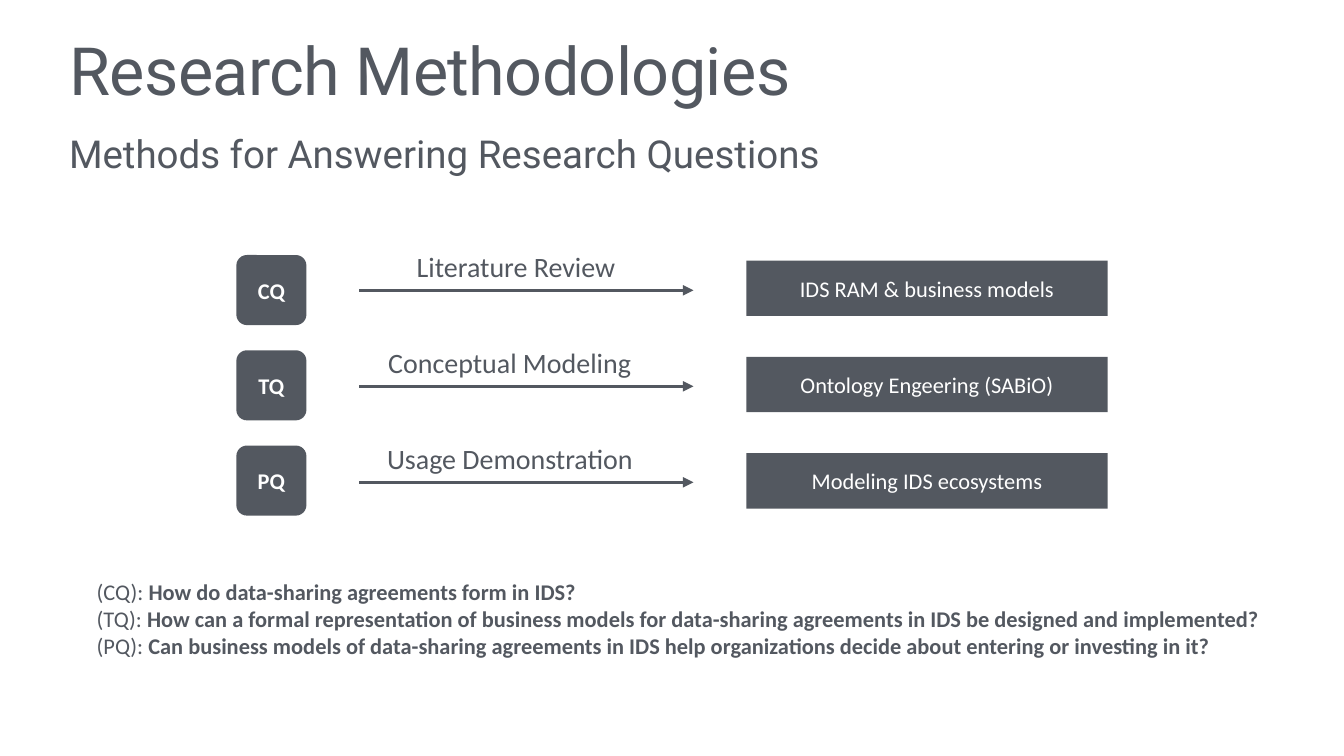
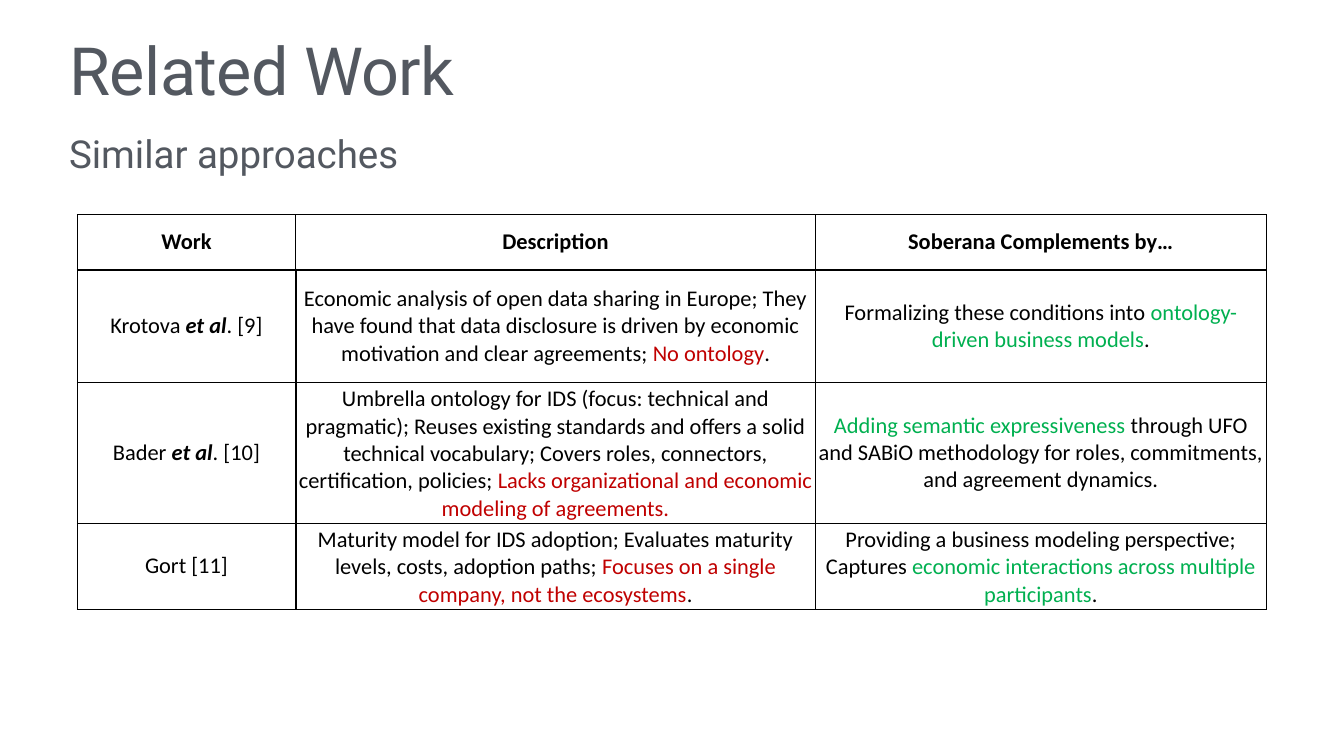
from dataclasses import dataclass

from lxml import etree
from pptx import Presentation
from pptx.dml.color import RGBColor
from pptx.enum.shapes import MSO_CONNECTOR, MSO_SHAPE
from pptx.enum.text import MSO_ANCHOR, MSO_AUTO_SIZE, PP_ALIGN
from pptx.oxml.ns import qn
from pptx.util import Inches, Pt

ROUNDED, RECT = MSO_SHAPE.ROUNDED_RECTANGLE, MSO_SHAPE.RECTANGLE
STRAIGHT = MSO_CONNECTOR.STRAIGHT
TOP, MIDDLE = MSO_ANCHOR.TOP, MSO_ANCHOR.MIDDLE
LEFT, CENTER = PP_ALIGN.LEFT, PP_ALIGN.CENTER
GROW = MSO_AUTO_SIZE.SHAPE_TO_FIT_TEXT


@dataclass(frozen=True)
class Theme:
    slate: str = "535860"
    white: str = "FFFFFF"
    black: str = "000000"
    gap: str = "C00000"
    gain: str = "00B050"
    heading_font: str = "Roboto"
    body_font: str = "Calibri"
    title_size: int = 95
    subtitle_size: int = 55
    label_size: int = 40
    body_size: int = 32
    inset: float = 0.06


T = Theme()

# Method rows: question code, method, method label width, outcome
METHODS = [
    ("CQ", "Literature Review", 4.47, "IDS RAM & business models"),
    ("TQ", "Conceptual Modeling", 5.6, "Ontology Engeering (SABiO)"),
    ("PQ", "Usage Demonstration", 5.65, "Modeling IDS ecosystems"),
]
QUESTIONS = [
    ("CQ", "How do data-sharing agreements form in IDS?"),
    ("TQ", "How can a formal representation of business models for data-sharing "
           "agreements in IDS be designed and implemented?"),
    ("PQ", "Can business models of data-sharing agreements in IDS help "
           "organizations decide about entering or investing in it?"),
]

# Table cells: lists of (text, style) runs
PLAIN, CITE, GAP, GAIN = "plain", "cite", "gap", "gain"
HEADERS = ["Work", "Description", "Soberana Complements by…"]
WORKS = [
    ([("Krotova ", PLAIN), ("et al", CITE), (". [9]", PLAIN)],
     [("Economic analysis of open data sharing in Europe; They have found that data "
       "disclosure is driven by economic motivation and clear agreements; ", PLAIN),
      ("No ontology", GAP), (".", PLAIN)],
     [("Formalizing these conditions into ", PLAIN),
      ("ontology-driven business models", GAIN), (".", PLAIN)]),
    ([("Bader ", PLAIN), ("et al", CITE), (". [10]", PLAIN)],
     [("Umbrella ontology for IDS (focus: technical and pragmatic); Reuses existing "
       "standards and offers a solid technical vocabulary; Covers roles, connectors, "
       "certification, policies; ", PLAIN),
      ("Lacks organizational and economic modeling of agreements.", GAP)],
     [("Adding semantic expressiveness", GAIN),
      (" through UFO and SABiO methodology for roles, commitments, and agreement "
       "dynamics.", PLAIN)]),
    ([("Gort [11]", PLAIN)],
     [("Maturity model for IDS adoption; Evaluates maturity levels, costs, adoption "
       "paths; ", PLAIN),
      ("Focuses on a single company, not the ecosystems", GAP), (".", PLAIN)],
     [("Providing a business modeling perspective; Captures ", PLAIN),
      ("economic interactions across multiple participants", GAIN), (".", PLAIN)]),
]


def rgb(color):
    return RGBColor.from_string(color)


def set_font(p, size, color, name=T.body_font, bold=False):
    p.font.name, p.font.size, p.font.bold = name, Pt(size), bold
    p.font.color.rgb = rgb(color)


def set_insets(target, inset=T.inset):
    target.margin_left = target.margin_right = Inches(inset)
    target.margin_top = target.margin_bottom = Inches(inset)


def add_text(slide, box, text, size, name=T.body_font, anchor=TOP, wrap=True,
             inset=T.inset):
    tf = slide.shapes.add_textbox(*map(Inches, box)).text_frame
    tf.word_wrap, tf.vertical_anchor = wrap, anchor
    set_insets(tf, inset)
    p = tf.paragraphs[0]
    p.text = text
    set_font(p, size, T.slate, name)
    return tf


def add_block(slide, kind, box, text, bold=False):
    sp = slide.shapes.add_shape(kind, *map(Inches, box))
    sp.shadow.inherit = False
    sp.fill.solid()
    sp.fill.fore_color.rgb = rgb(T.slate)
    sp.line.fill.background()
    tf = sp.text_frame
    tf.word_wrap, tf.vertical_anchor = True, MIDDLE
    set_insets(tf)
    p = tf.paragraphs[0]
    p.text, p.alignment = text, CENTER
    set_font(p, T.body_size, T.white, bold=bold)
    return sp


def add_arrow(slide, x1, x2, y):
    line = slide.shapes.add_connector(STRAIGHT, *map(Inches, (x1, y, x2, y)))
    line.line.color.rgb = rgb(T.slate)
    line.line.width = Pt(5)
    etree.SubElement(line.line._get_or_add_ln(), qn("a:tailEnd"), type="triangle")
    etree.SubElement(line._element.spPr, qn("a:effectLst"))


def add_slide(prs, title, subtitle):
    slide = prs.slides.add_slide(prs.slide_layouts[6])
    add_text(slide, (1.32, 2.54, 24.03, 1.1), subtitle, T.subtitle_size,
             T.heading_font, inset=0.05)
    tf = add_text(slide, (1.32, 0.69, 24.03, 1.85), title, T.title_size,
                  T.heading_font)
    p = tf.paragraphs[0]
    p.line_spacing = 0.9
    p.runs[0]._r.get_or_add_rPr().set("spc", "-90")
    return slide


def add_method_row(slide, i, code, method, label_width, outcome):
    start, end = 7.13, 13.76
    line_y = 5.76 + 1.905 * i
    badge = add_block(slide, ROUNDED, (4.69, 5.06 + 1.89 * i, 1.39, 1.39), code, True)
    badge.adjustments[0] = 0.15
    add_block(slide, RECT, (14.81, 5.17 + 1.91 * i, 7.17, 1.1), outcome)
    add_arrow(slide, start, end, line_y)
    left = (start + end - label_width) / 2
    tf = add_text(slide, (left, line_y - 0.89, label_width, 0.84), method,
                  T.label_size, anchor=MIDDLE, wrap=False)
    tf.auto_size = GROW


def add_questions(slide, box):
    tf = slide.shapes.add_textbox(*map(Inches, box)).text_frame
    tf.word_wrap, tf.auto_size = True, GROW
    for i, (code, question) in enumerate(QUESTIONS):
        p = tf.add_paragraph() if i else tf.paragraphs[0]
        p.level, p.alignment = 1, LEFT
        pPr = p._p.get_or_add_pPr()
        pPr.set("marL", str(Inches(0.5)))
        pPr.set("indent", "0")
        set_font(p, T.body_size, T.slate)
        p.add_run().text = f"({code}): "
        r = p.add_run()
        r.text, r.font.bold = question, True


def set_borders(cell, right=1, bottom=1):
    tcPr = cell._tc.get_or_add_tcPr()
    widths = (("lnL", 1), ("lnR", right), ("lnT", 1), ("lnB", bottom))
    for i, (tag, width) in enumerate(widths):
        ln = etree.Element(qn(f"a:{tag}"), w=str(Pt(width)))
        fill = etree.SubElement(ln, qn("a:solidFill"))
        etree.SubElement(fill, qn("a:srgbClr"), val=T.black)
        tcPr.insert(i, ln)


def fill_cell(cell, runs, bold=False):
    cell.fill.solid()
    cell.fill.fore_color.rgb = rgb(T.white)
    cell.vertical_anchor = MIDDLE
    set_insets(cell)
    p = cell.text_frame.paragraphs[0]
    p.alignment = CENTER
    set_font(p, T.body_size, T.black, bold=bold)
    accents = {GAP: T.gap, GAIN: T.gain}
    for text, style in runs:
        r = p.add_run()
        r.text = text
        if style == CITE:
            r.font.bold = r.font.italic = True
        elif style in accents:
            r.font.color.rgb = rgb(accents[style])


def add_works_table(slide, left, top, col_widths, row_heights):
    size = (sum(col_widths), sum(row_heights))
    table = slide.shapes.add_table(len(row_heights), len(col_widths),
                                   *map(Inches, (left, top, *size))).table
    table.first_row = table.horz_banding = False
    for col, width in zip(table.columns, col_widths):
        col.width = Inches(width)
    for row, height in zip(table.rows, row_heights):
        row.height = Inches(height)
    rows = [[[(header, PLAIN)] for header in HEADERS], *WORKS]
    for i, row in enumerate(rows):
        for j, runs in enumerate(row):
            cell = table.cell(i, j)
            fill_cell(cell, runs, bold=i == 0)
            set_borders(cell, right=3 if i and j == 0 else 1,
                        bottom=1 if i else 3)


def main():
    prs = Presentation()
    prs.slide_width, prs.slide_height = Inches(26.67), Inches(15)

    # Research methods
    slide = add_slide(prs, "Research Methodologies",
                      "Methods for Answering Research Questions")
    for i, method in enumerate(METHODS):
        add_method_row(slide, i, *method)
    add_questions(slide, (1.32, 11.43, 24.4, 1.72))

    # Related work
    slide = add_slide(prs, "Related Work", "Similar approaches")
    add_works_table(slide, 1.53, 4.26, (4.34, 10.31, 8.95),
                    (1.09, 2.24, 2.13, 1.65))

    prs.save("out.pptx")


if __name__ == "__main__":
    main()
